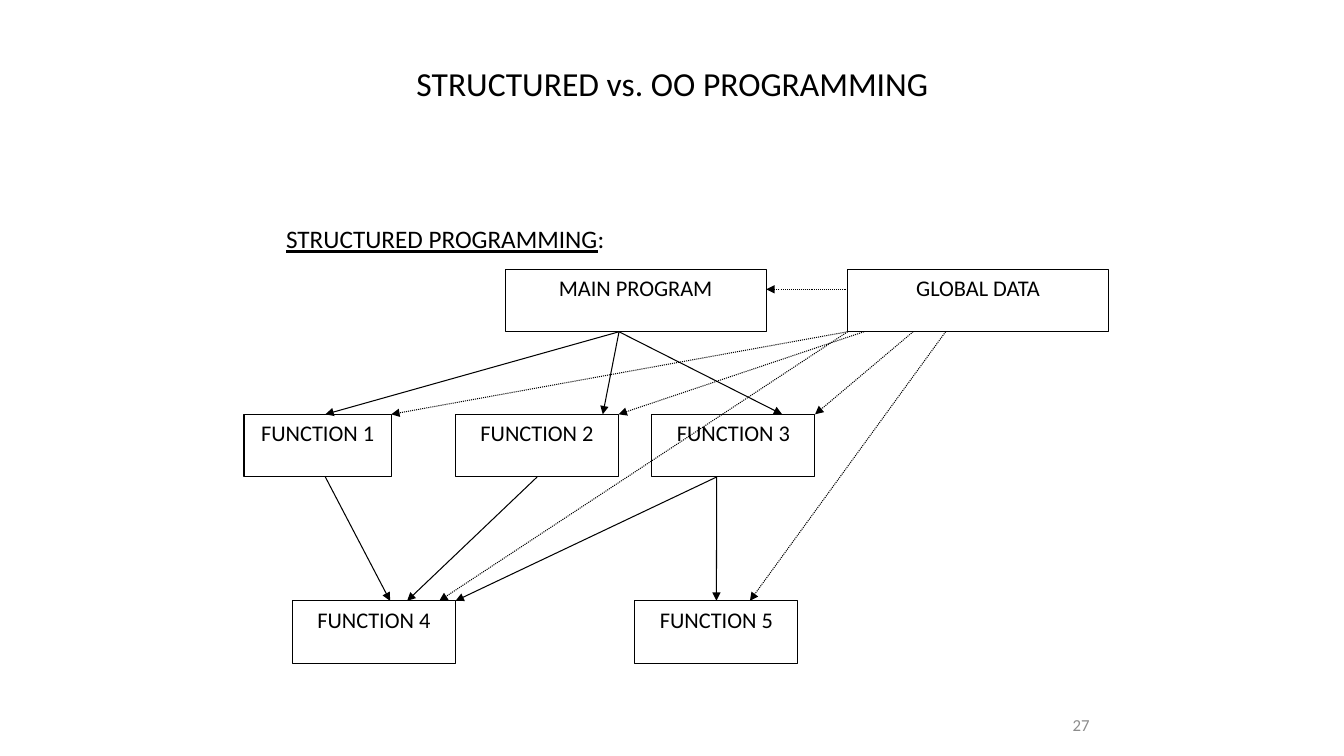
from lxml.etree import SubElement
from pptx import Presentation
from pptx.dml.color import RGBColor
from pptx.enum.dml import MSO_LINE
from pptx.enum.shapes import MSO_CONNECTOR as LINK, MSO_SHAPE as SHAPE
from pptx.enum.text import MSO_ANCHOR as ANCHOR, PP_ALIGN as ALIGN
from pptx.oxml.ns import qn
from pptx.util import Cm, Pt


def rgb(code):
    return RGBColor.from_string(code)


def write(shape, text, size=16, color="000000", align=ALIGN.CENTER,
          anchor=ANCHOR.TOP, under=False):
    """Add a run to the first paragraph of the shape and return the paragraph."""
    frame = shape.text_frame
    frame.word_wrap = True
    frame.vertical_anchor = anchor
    para = frame.paragraphs[0]
    para.alignment = align
    run = para.add_run()
    run.text = text
    run.font.name = "Calibri"
    run.font.size = Pt(size)
    run.font.underline = under
    run.font.color.rgb = rgb(color)
    return para


prs = Presentation()
prs.slide_width, prs.slide_height = Cm(33.87), Cm(19.05)
slide = prs.slides.add_slide(prs.slide_layouts[6])
shapes = slide.shapes

# Title, heading and slide number
number = shapes.add_textbox(Cm(22.43), Cm(17.63), Cm(5.28), Cm(1.27))
write(number, "27", 12, "8C8C8C", ALIGN.RIGHT, ANCHOR.MIDDLE)

title = shapes.add_textbox(Cm(6.15), Cm(1.27), Cm(21.59), Cm(1.47))
write(title, "STRUCTURED vs. OO PROGRAMMING", 24,
      anchor=ANCHOR.BOTTOM).line_spacing = 0.9

head = shapes.add_textbox(Cm(5.51), Cm(5.51), Cm(23.5), Cm(7.95))
props = head.text_frame.paragraphs[0]._p.get_or_add_pPr()
tabs = SubElement(props, qn("a:tabLst"))
SubElement(tabs, qn("a:tab"), pos=str(Cm(1.45)), algn="l")
write(head, "\tSTRUCTURED PROGRAMMING", 18, align=ALIGN.LEFT, under=True)
write(head, ":", 18, align=ALIGN.LEFT)

# Boxes in three rows
TALL = 1.58
WIDE, MID, SLIM = 6.58, 4.11, 3.71
TOP, CORE, LOW = 6.78, 10.44, 15.14
boxes = {}
for name, left, top, width in [
    ("MAIN PROGRAM", 12.73, TOP, WIDE),
    ("FUNCTION 3", 16.43, CORE, MID),
    ("FUNCTION 2", 11.48, CORE, MID),
    ("GLOBAL DATA", 21.36, TOP, WIDE),
    ("FUNCTION 5", 16, LOW, MID),
    ("FUNCTION 4", 7.37, LOW, MID),
    ("FUNCTION 1", 6.15, CORE, SLIM),
]:
    box = shapes.add_shape(SHAPE.RECTANGLE, Cm(left), Cm(top), Cm(width), Cm(TALL))
    box.shadow.inherit = False
    box.fill.solid()
    box.fill.fore_color.rgb = rgb("FFFFFF")
    box.line.color.rgb = rgb("000000")
    box.line.width = Pt(0.75)
    write(box, name)
    boxes[name] = box

# Calls are solid arrows, data access is dotted
BASE, FOOT = TOP + TALL, CORE + TALL
calls = [
    (15.6, BASE, 8.2, CORE, None, None),
    (15.6, BASE, 15.19, CORE, None, None),
    (15.6, BASE, 19.71, CORE, None, None),
    (8.2, FOOT, 9.83, LOW, None, None),
    (13.54, FOOT, 10.26, LOW, "FUNCTION 2", None),
    (18.06, FOOT, 11.48, LOW, None, None),
    (18.06, FOOT, 18.06, LOW, None, "FUNCTION 5"),
]
reads = [
    (21.36, 7.29, 19.31, 7.29, None, None),
    (21.36, BASE, 9.86, CORE, None, None),
    (21.77, BASE, 15.59, CORE, None, None),
    (23.01, BASE, 20.54, CORE, None, None),
    (23.83, BASE, 18.9, LOW, None, None),
    (21.36, BASE, 11.07, LOW, None, None),
]
for links, dash in [(calls, None), (reads, MSO_LINE.ROUND_DOT)]:
    for *ends, start, stop in links:
        link = shapes.add_connector(LINK.STRAIGHT, *map(Cm, ends))
        if start:
            link.begin_connect(boxes[start], 2)
        if stop:
            link.end_connect(boxes[stop], 0)
        link.line.color.rgb = rgb("000000")
        link.line.width = Pt(0.75)
        if dash:
            link.line.dash_style = dash
        SubElement(link.line._get_or_add_ln(), qn("a:tailEnd"), type="triangle")
        SubElement(link._element.spPr, qn("a:effectLst"))

prs.save("out.pptx")
